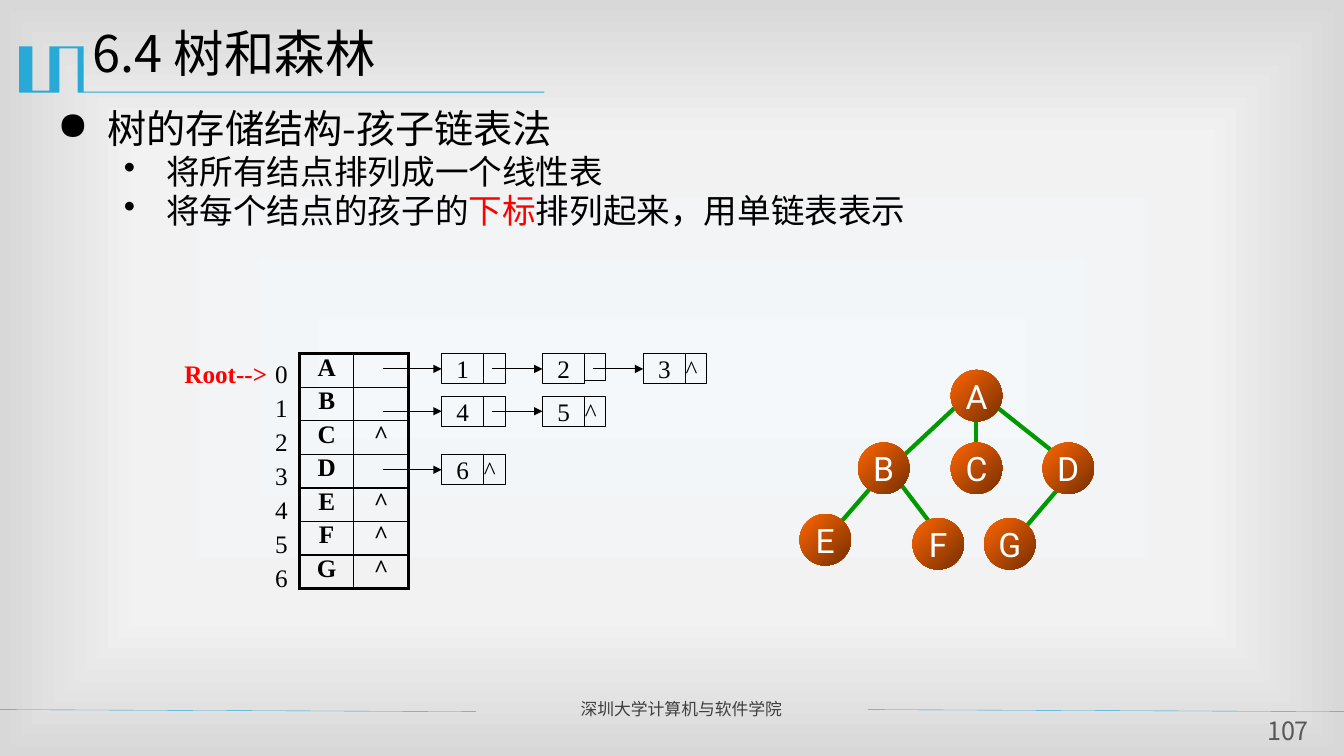
from dataclasses import dataclass

from lxml import etree
from pptx import Presentation
from pptx import util as u
from pptx.dml.color import RGBColor
from pptx.enum import shapes, text
from pptx.oxml import ns, parse_xml

CENTER = text.PP_ALIGN.CENTER


@dataclass(frozen=True)
class Theme:
    """Colours, fonts and type sizes of the slide."""
    ink: str = "000000"
    red: str = "FF0000"
    accent: str = "28A9D6"
    edge: str = "009900"
    node: tuple = ("FF6600", "762F00")
    node_text: str = "FFFFFF"
    footer: str = "3F3F3F"
    number: str = "595959"
    backdrop: tuple = ((0, "F4F8FB"), (63, "F2F2F2"), (100, "D8D8D8"))
    sans: str = "Noto Sans CJK SC"
    serif: str = "Times New Roman"
    round: str = "Roboto"
    title_size: int = 36
    topic_size: int = 28
    point_size: int = 24
    label_size: int = 18
    footer_size: int = 12


def write(para, words, font, size, color, bold=False, align=None, before=None,
          spacing=None, bullet=None, margin=0, hang=0):
    """Add one formatted span to a paragraph and format the paragraph."""
    if align is not None:
        para.alignment = align
    if before is not None:
        para.space_before = u.Pt(before)
    if spacing is not None:
        para.line_spacing = spacing
    if bullet:
        props = para._p.get_or_add_pPr()
        props.set("marL", str(u.Inches(margin)))
        props.set("indent", str(-u.Inches(hang)))
        etree.SubElement(props, ns.qn("a:buChar")).set("char", bullet)
    span = para.add_run()
    span.text = words
    span.font.size, span.font.bold = u.Pt(size), bold
    span.font.color.rgb = RGBColor.from_string(color)
    span.font.name = font
    etree.SubElement(span._r.get_or_add_rPr(), ns.qn("a:ea")).set("typeface", font)


def clear_margins(frame):
    """Remove the insets of a text frame."""
    frame.margin_left = frame.margin_right = frame.margin_top = frame.margin_bottom = 0


class Painter:
    """Draws styled elements on the current slide."""

    def __init__(self, page, theme):
        """Keep the slide and its theme."""
        self.page, self.theme = page, theme

    def backdrop(self):
        """Fill the background with a gradient spreading from the centre."""
        self.page.background.fill.gradient()
        plain = next(self.page._element.iter(ns.qn("a:gradFill")))
        stops = "".join(f'<a:gs pos="{at * 1000}"><a:srgbClr val="{color}"/></a:gs>'
                        for at, color in self.theme.backdrop)
        plain.getparent().replace(plain, parse_xml(
            f'<a:gradFill {ns.nsdecls("a")} rotWithShape="1"><a:gsLst>{stops}</a:gsLst>'
            '<a:path path="rect"><a:fillToRect l="50000" t="50000" r="50000" b="50000"/>'
            '</a:path></a:gradFill>'))

    def outline(self, points, color):
        """Draw a filled closed outline."""
        points = [(u.Inches(x), u.Inches(y)) for x, y in points]
        builder = self.page.shapes.build_freeform(*points[0], scale=1.0)
        builder.add_line_segments(points[1:], close=True)
        shape = builder.convert_to_shape()
        shape.shadow.inherit = False
        shape.fill.solid()
        shape.fill.fore_color.rgb = RGBColor.from_string(color)
        shape.line.fill.background()

    def line(self, start, end, color, width, target=None):
        """Draw a straight line, or an arrow into the left side of a target box."""
        link = self.page.shapes.add_connector(
            shapes.MSO_CONNECTOR.STRAIGHT, *map(u.Inches, (*start, *end)))
        link.line.color.rgb = RGBColor.from_string(color)
        link.line.width = u.Pt(width)
        etree.SubElement(link._element.spPr, ns.qn("a:effectLst"))
        if target is not None:
            etree.SubElement(link.line._get_or_add_ln(), ns.qn("a:tailEnd")).set("type", "triangle")
            link.end_connect(target, 1)

    def text(self, left, top, width, height, lines, inset=True, before=None, **style):
        """Place a text box with one paragraph per line and return its frame."""
        box = self.page.shapes.add_textbox(*map(u.Inches, (left, top, width, height)))
        frame = box.text_frame
        frame.word_wrap = True
        if not inset:
            clear_margins(frame)
        for index, words in enumerate(lines):
            para = frame.add_paragraph() if index else frame.paragraphs[0]
            write(para, words, before=before if index else None, **style)
        return frame

    def shape(self, kind, left, top, width, height, words="", **style):
        """Draw a preset shape without shadow or insets."""
        box = self.page.shapes.add_shape(kind, *map(u.Inches, (left, top, width, height)))
        box.shadow.inherit = False
        clear_margins(box.text_frame)
        box.text_frame.word_wrap = False
        if words:
            write(box.text_frame.paragraphs[0], words, **style)
        return box

    def node(self, name, left, top):
        """Draw a tree node."""
        theme = self.theme
        ball = self.shape(shapes.MSO_SHAPE.OVAL, left, top, 0.51, 0.51, name, font=theme.round,
                          size=theme.point_size, color=theme.node_text, align=CENTER)
        ball.fill.gradient()
        ball.fill.gradient_angle = 315
        for stop, color in zip(ball.fill.gradient_stops, theme.node):
            stop.color.rgb = RGBColor.from_string(color)
        ball.line.fill.background()

    def cell(self, left, top, width, height, words="", align=CENTER):
        """Draw one field of a list element."""
        theme = self.theme
        box = self.shape(shapes.MSO_SHAPE.RECTANGLE, left, top, width, height, words,
                         font=theme.serif, size=theme.label_size, color=theme.ink, align=align)
        box.fill.background()
        box.line.color.rgb = RGBColor.from_string(theme.ink)
        box.line.width = u.Pt(0.75)
        return box

    def chain(self, top, indexes):
        """Draw a linked list of child indexes with its arrows."""
        middle = top + 0.15
        for step, index in enumerate(indexes):
            left = 4.38 + step
            data = self.cell(left, top, 0.42, 0.3, index)
            self.cell(left + 0.42, top, 0.21, 0.27 if index == "2" else 0.3,
                      "^" if index == indexes[-1] else "", text.PP_ALIGN.LEFT)
            self.line((left - 0.5 if step else 3.8, middle), (left, middle),
                      self.theme.ink, 0.75, target=data)

    def table(self, left, top, column, row, rows):
        """Draw the node table with a thick frame and thin inner rules."""
        theme, columns = self.theme, len(rows[0])
        grid = self.page.shapes.add_table(len(rows), columns, *map(
            u.Inches, (left, top, column * columns, row * len(rows)))).table
        grid.first_row = grid.horz_banding = False
        for r, words in enumerate(rows):
            for c, word in enumerate(words):
                cell = grid.cell(r, c)
                cell.margin_left = cell.margin_right = u.Inches(0.1)
                cell.margin_top = cell.margin_bottom = 0
                if word:
                    write(cell.text_frame.paragraphs[0], word, theme.serif,
                          theme.label_size, theme.ink, bold=True, align=CENTER)
                outer = {"L": c == 0, "R": c == columns - 1, "T": r == 0, "B": r == len(rows) - 1}
                for side, thick in outer.items():
                    cell._tc.get_or_add_tcPr().append(parse_xml(
                        f'<a:ln{side} {ns.nsdecls("a")} w="{u.Pt(2.25 if thick else 1)}">'
                        f'<a:solidFill><a:srgbClr val="{theme.ink}"/></a:solidFill></a:ln{side}>'))
                cell.fill.background()


def main():
    """Build the slide and save it."""
    deck = Presentation()
    deck.slide_width, deck.slide_height = u.Inches(13.33), u.Inches(7.5)
    theme = Theme()
    paint = Painter(deck.slides.add_slide(deck.slide_layouts[6]), theme)
    paint.backdrop()
    paint.outline([(0.82, 0.46), (0.83, 0.46), (0.83, 0.91), (5.4, 0.91), (5.4, 0.92),
                   (0.77, 0.92), (0.77, 0.48), (0.59, 0.48), (0.59, 0.92), (0.19, 0.92),
                   (0.19, 0.46), (0.32, 0.46), (0.32, 0.9), (0.49, 0.9), (0.49, 0.46)], theme.accent)
    for left in (0, 8.61):
        paint.line((left, 7.04), (left + 4.72, 7.06), theme.accent, 0.25)
    sans = dict(font=theme.sans, spacing=0.9)
    paint.text(5.66, 6.91, 2.85, 0.3, ["深圳大学计算机与软件学院"],
               size=theme.footer_size, color=theme.footer, **sans)
    paint.text(12.48, 7.13, 0.59, 0.31, ["107"], inset=False, align=CENTER,
               size=theme.label_size, color=theme.number, **sans)
    paint.text(0.82, 0.24, 12, 0.87, ["6.4 树和森林"],
               size=theme.title_size, color=theme.ink, **sans)
    body = paint.text(0.47, 1.04, 12.13, 2.25, ["树的存储结构-孩子链表法"], bullet="●", margin=0.5,
                      hang=0.5, size=theme.topic_size, color=theme.ink, **sans)
    point = dict(size=theme.point_size, font=theme.sans)
    for words in ("将所有结点排列成一个线性表", "将每个结点的孩子的"):
        para = body.add_paragraph()
        write(para, words, color=theme.ink, bullet="•", margin=1.08, hang=0.42,
              before=2.2, spacing=0.9, **point)
    write(para, "下标", color=theme.red, **point)
    write(para, "排列起来，用单链表表示", color=theme.ink, **point)

    for start, end in [((9.8, 3.97), (10.43, 4.47)), ((9.55, 3.97), (8.93, 4.55)),
                       ((8.8, 4.65), (8.34, 5.18)), ((8.84, 4.68), (9.22, 5.18)),
                       ((10.64, 4.68), (10.18, 5.22)), ((9.68, 4.15), (9.68, 4.4))]:
        paint.line(start, end, theme.edge, 3)
    for name, left, top in [("A", 9.43, 3.67), ("B", 8.51, 4.39), ("C", 9.43, 4.39), ("D", 10.34, 4.39),
                            ("E", 7.93, 5.1), ("F", 9.05, 5.14), ("G", 9.76, 5.14)]:
        paint.node(name, left, top)

    names, parents = "ABCDEFG", "ABD"
    paint.table(2.97, 3.51, 0.54, 2.33 / len(names),
                [(name, "" if name in parents else "^") for name in names])
    label = dict(font=theme.serif, size=theme.label_size)
    paint.text(2.63, 3.51, 0.42, 2.4, map(str, range(len(names))),
               color=theme.ink, before=2.6, **label)
    for top, indexes in ((3.51, "123"), (3.93, "45"), (4.51, "6")):
        paint.chain(top, indexes)
    paint.text(1.73, 3.51, 1.11, 0.41, ["Root-->"], color=theme.red, bold=True, **label)
    deck.save("out.pptx")


if __name__ == "__main__":
    main()
